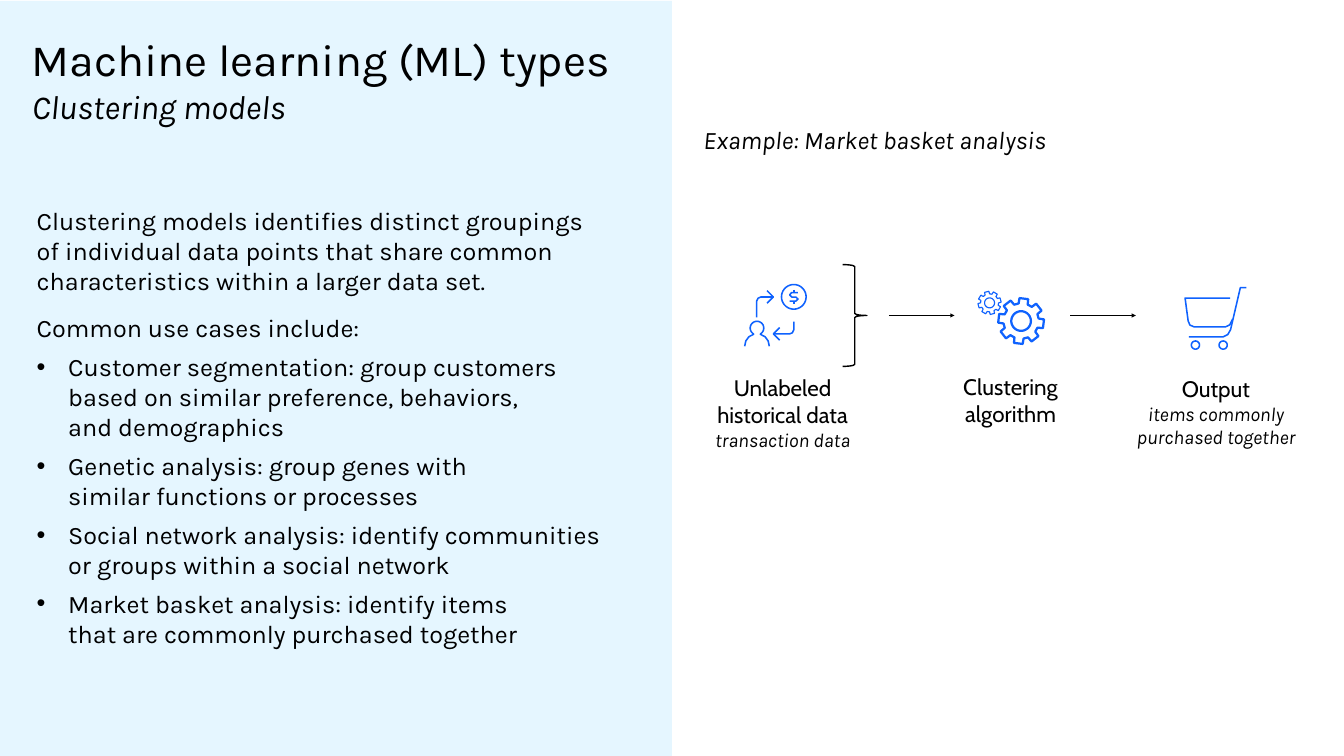
from dataclasses import dataclass
from math import cos, radians, sin

from lxml import etree
from pptx import Presentation
from pptx.dml.color import RGBColor
from pptx.enum import shapes, text
from pptx.oxml import ns
from pptx.util import Pt

BLACK, BLUE, PALE = "000000", "0F62FE", "E5F6FF"
Point = tuple[float, float]


@dataclass
class Run:
    text: str
    size: float
    font: str = "Karla"
    italic: bool = False


@dataclass
class Para:
    runs: list[Run]
    after: float = 0
    bullet: bool = False
    align: text.PP_ALIGN = text.PP_ALIGN.LEFT


@dataclass
class Box:
    left: float
    top: float
    width: float
    height: float
    paras: list[Para]
    inset: Point = (7.2, 3.6)


@dataclass
class Icon:
    strokes: list[list[Point]]
    weight: float = 2.2


def rgb(value: str) -> RGBColor:
    return RGBColor.from_string(value)


def paint_line(sp, color: str, weight: float) -> None:
    sp.line.color.rgb = rgb(color)
    sp.line.width = Pt(weight)


def draw_box(s, box: Box) -> None:
    tf = s.shapes.add_textbox(Pt(box.left), Pt(box.top), Pt(box.width), Pt(box.height)).text_frame
    x, y = box.inset
    frame = {"word_wrap": True, "margin_left": Pt(x), "margin_right": Pt(x),
             "margin_top": Pt(y), "margin_bottom": Pt(y)}
    for name, value in frame.items():
        setattr(tf, name, value)
    for i, para in enumerate(box.paras):
        p = tf.add_paragraph() if i else tf.paragraphs[0]
        p.alignment = para.align
        p.space_after = Pt(para.after)
        if para.bullet:
            pr = p._p.get_or_add_pPr()
            pr.set("marL", str(Pt(45)))
            pr.set("indent", str(Pt(-45)))
            etree.SubElement(pr, ns.qn("a:buFont")).set("typeface", "Arial")
            etree.SubElement(pr, ns.qn("a:buChar")).set("char", "•")
        for run in para.runs:
            for j, line in enumerate(run.text.split("\n")):
                if j:
                    p.add_line_break()
                if not line:
                    continue
                r = p.add_run()
                r.text = line
                style = {"size": Pt(run.size), "name": run.font, "italic": run.italic}
                for name, value in style.items():
                    setattr(r.font, name, value)
                r.font.color.rgb = rgb(BLACK)


def draw_icon(s, icon: Icon) -> None:
    builder = None
    for stroke in icon.strokes:
        pts = [(Pt(x), Pt(y)) for x, y in stroke]
        if builder is None:
            builder = s.shapes.build_freeform(*pts[0], scale=1.0)
        else:
            builder.move_to(*pts[0])
        builder.add_line_segments(pts[1:], close=pts[0] == pts[-1])
    sp = builder.convert_to_shape()
    sp.shadow.inherit = False
    sp.fill.background()
    paint_line(sp, BLUE, icon.weight)


def draw_arrow(s, x: float, y: float, length: float) -> None:
    sp = s.shapes.add_connector(shapes.MSO_CONNECTOR.STRAIGHT, Pt(x), Pt(y), Pt(x + length), Pt(y))
    paint_line(sp, BLACK, 2)
    etree.SubElement(sp.line._get_or_add_ln(), ns.qn("a:tailEnd")).set("type", "triangle")
    etree.SubElement(sp._element.spPr, ns.qn("a:effectLst"))


def polar(cx: float, cy: float, radius: float, degrees: float) -> Point:
    a = radians(degrees)
    return cx + radius * cos(a), cy + radius * sin(a)


def arc(cx: float, cy: float, radius: float, start: int = 0, end: int = 360) -> list[Point]:
    pts = [polar(cx, cy, radius, a) for a in range(start, end, 10)]
    return pts + [pts[0] if end - start == 360 else polar(cx, cy, radius, end)]


def gear(cx: float, cy: float, radius: float, tilt: float) -> Icon:
    """Eight-toothed wheel; radius reaches the outer edge of the teeth."""
    tooth = [(-15, 0.74), (-11, 0.96), (11, 0.96), (15, 0.74)]
    rim = [polar(cx, cy, radius * k, tilt - 90 + 45 * n + a) for n in range(8) for a, k in tooth]
    return Icon([rim + rim[:1], arc(cx, cy, radius * 0.41)], radius * 0.094)


def label(title: str, detail: str = "") -> list[Para]:
    center = text.PP_ALIGN.CENTER
    paras = [Para([Run(title, 32, "Cabin")], align=center)]
    if detail:
        paras.append(Para([Run(detail, 28, italic=True)], align=center))
    return paras


def person(cx: float, cy: float) -> list[Point]:
    side = [(-17.6, 26), (-16, 18.5), (-11.5, 12.3), (-5, 9)]
    left = [(cx + x, cy + y) for x, y in side]
    right = [(cx - x, cy + y) for x, y in reversed(side)]
    return left + arc(cx, cy, 9.7, 120, 420) + right


USE_CASES = [
    "Customer segmentation: group customers based on similar preference, behaviors,\n"
    "and demographics",
    "Genetic analysis: group genes with\nsimilar functions or processes",
    "Social network analysis: identify communities or groups within a social network",
    "Market basket analysis: identify items\nthat are commonly purchased together",
]
INTRO = ("Clustering models identifies distinct groupings\nof individual data points that share "
         "common characteristics within a larger data set.")

BOXES = [
    Box(45.4, 45.4, 834, 132, [Para([Run("Machine learning (ML) types\n", 64),
                                     Run("Clustering models", 48, italic=True)])], (0, 0)),
    Box(45.4, 289.4, 822, 647,
        [Para([Run(INTRO, 36)], 24), Para([Run("Common use cases include:", 36)], 12)]
        + [Para([Run(case, 36)], 12, bullet=True) for case in USE_CASES]),
    Box(1005, 177, 652, 44,
        [Para([Run("Example: Market basket analysis", 36, italic=True)])], (0, 0)),
    Box(997, 531.4, 242, 119, label("Unlabeled\nhistorical data", "transaction data")),
    Box(1309.7, 530, 268, 85, label("Clustering algorithm")),
    Box(1597, 532, 280, 114, label("Output", "items commonly purchased together")),
]

TRANSACTION = Icon([
    # Coin with dollar sign
    arc(1134, 424.1, 17.6),
    [(1139.8, 418), (1131, 418), (1128, 421.2), (1131, 424.4), (1137, 424.4),
     (1140, 427.3), (1137, 430.2), (1128.2, 430.2)],
    [(1134, 414), (1134, 418)], [(1134, 430.2), (1134, 434.2)],
    # Arrow to the coin and arrow to the person
    [(1081, 453.6), (1081, 430), (1083, 426), (1087, 424.3), (1104.8, 424.3)],
    [(1095.8, 415.3), (1104.8, 424.3), (1095.8, 433.3)],
    [(1134, 459.4), (1134, 471), (1132, 475.5), (1128, 477), (1104.8, 477)],
    [(1113.8, 468), (1104.8, 477), (1113.8, 486)],
    person(1081.4, 468.7),
])
CART = Icon([
    [(1780.6, 410.8), (1772, 410.8), (1758, 471), (1754, 478), (1747.5, 481.3), (1698.5, 481.3)],
    [(1757.5, 425.9), (1693, 425.9), (1697.4, 458.6), (1700, 464.5), (1705.7, 466.9),
     (1751, 466.9), (1757, 464), (1761, 455.8)],
    arc(1707.8, 493, 5.8), arc(1747.4, 493, 5.8),
])


def main() -> None:
    prs = Presentation()
    prs.slide_width, prs.slide_height = Pt(1920), Pt(1080)
    s = prs.slides.add_slide(prs.slide_layouts[6])

    # Left panel
    sp = s.shapes.add_shape(shapes.MSO_SHAPE.RECTANGLE, 0, Pt(1.4), Pt(960), Pt(1080))
    sp.shadow.inherit = False
    sp.fill.solid()
    sp.fill.fore_color.rgb = rgb(PALE)
    sp.line.fill.background()

    # Headings, body and step labels
    for box in BOXES:
        draw_box(s, box)

    # Flow: brace, arrows and icons
    sp = s.shapes.add_shape(shapes.MSO_SHAPE.RIGHT_BRACE, Pt(1203.8), Pt(378), Pt(34.6), Pt(145.4))
    sp.shadow.inherit = False
    sp.fill.background()
    paint_line(sp, BLACK, 2)
    for x in (1270, 1529):
        draw_arrow(s, x, 450.7, 93.6)
    for icon in (TRANSACTION, gear(1458.7, 458.6, 34.2, 7), gear(1413.7, 432.7, 17.3, -14.5), CART):
        draw_icon(s, icon)

    prs.save("out.pptx")


if __name__ == "__main__":
    main()
